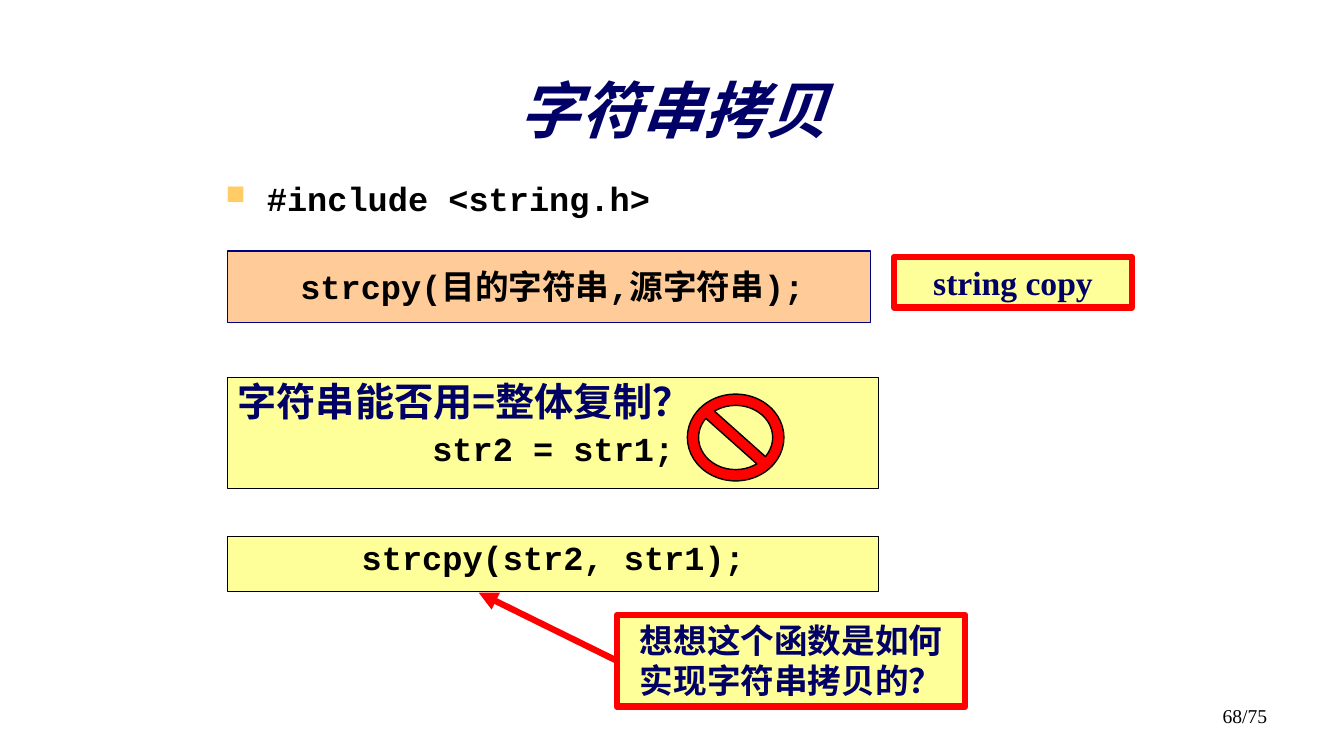
from dataclasses import dataclass
from typing import Any, Optional

import lxml.etree
import pptx
import pptx.dml.color
import pptx.enum.shapes
import pptx.enum.text
import pptx.oxml.ns
import pptx.util

Pt = pptx.util.Pt
qn = pptx.oxml.ns.qn
Align = pptx.enum.text.PP_ALIGN
ShapeType = pptx.enum.shapes.MSO_SHAPE


@dataclass(frozen=True)
class Theme:
    navy: str = "000066"
    black: str = "000000"
    red: str = "FF0000"
    yellow: str = "FFFF99"
    orange: str = "FFCC99"
    border_blue: str = "000080"
    bullet: str = "FFCC66"
    serif: str = "Times New Roman"
    code: str = "Courier New"
    chinese: str = "Noto Sans CJK SC"
    title_size: float = 44
    question_size: float = 28
    body_size: float = 24
    number_size: float = 14
    thin: float = 0.75
    thick: float = 4.5


THEME = Theme()


@dataclass(frozen=True)
class Line:
    text: str
    font: str = THEME.code
    size: float = THEME.body_size
    color: str = THEME.black
    bold: bool = True
    italic: bool = False
    shadow: bool = False
    align: Any = Align.LEFT
    spacing: float = 1.0
    before: float = 0
    margin: float = 0
    indent: float = 0
    bullet: bool = False


@dataclass(frozen=True)
class Box:
    left: float
    top: float
    width: float
    height: float
    lines: tuple[Line, ...]
    fill: Optional[str] = None
    border: str = THEME.black
    border_width: float = THEME.thin
    grow: bool = False
    anchor: Any = pptx.enum.text.MSO_ANCHOR.TOP


def rgb(value: str) -> pptx.dml.color.RGBColor:
    return pptx.dml.color.RGBColor.from_string(value)


def add_element(parent: Any, tag: str, **attributes: str) -> Any:
    return lxml.etree.SubElement(parent, qn(tag), attributes)


def add_bullet(properties: Any) -> None:
    color = add_element(properties, "a:buClr")
    add_element(color, "a:srgbClr", val=THEME.bullet)
    add_element(properties, "a:buSzPct", val="80000")
    add_element(properties, "a:buChar", char="■")


def add_text_shadow(run_properties: Any) -> None:
    effects = lxml.etree.Element(qn("a:effectLst"))
    shadow = add_element(effects, "a:outerShdw", dist=str(Pt(2.5)), dir="2700000")
    add_element(shadow, "a:srgbClr", val=THEME.black)
    run_properties.find(qn("a:solidFill")).addnext(effects)


def write_line(paragraph: Any, line: Line) -> None:
    paragraph.text = line.text
    properties = paragraph._p.get_or_add_pPr()
    properties.set("marL", str(Pt(line.margin)))
    properties.set("indent", str(Pt(line.indent)))
    if line.bullet:
        add_bullet(properties)
    paragraph.alignment = line.align
    paragraph.line_spacing = line.spacing
    paragraph.space_before = Pt(line.before)
    for run in paragraph.runs:
        run.font.size = Pt(line.size)
        run.font.bold = line.bold
        run.font.italic = line.italic
        run.font.color.rgb = rgb(line.color)
        run.font.name = line.font
        run_properties = run._r.get_or_add_rPr()
        add_element(run_properties, "a:ea", typeface=THEME.chinese)
        if line.shadow:
            add_text_shadow(run_properties)


def paint(shape: Any, fill: str, border: str, width: float) -> None:
    shape.shadow.inherit = False
    shape.fill.solid()
    shape.fill.fore_color.rgb = rgb(fill)
    shape.line.color.rgb = rgb(border)
    shape.line.width = Pt(width)


def draw_box(slide: Any, box: Box) -> Any:
    place = [Pt(value) for value in (box.left, box.top, box.width, box.height)]
    if box.fill:
        shape = slide.shapes.add_shape(ShapeType.RECTANGLE, *place)
        paint(shape, box.fill, box.border, box.border_width)
    else:
        shape = slide.shapes.add_textbox(*place)
    frame = shape.text_frame
    frame.word_wrap = True
    frame.vertical_anchor = box.anchor
    if box.grow:
        frame.auto_size = pptx.enum.text.MSO_AUTO_SIZE.SHAPE_TO_FIT_TEXT
    for index, line in enumerate(box.lines):
        write_line(frame.add_paragraph() if index else frame.paragraphs[0], line)
    return shape


def draw_arrow(slide: Any, source: Any, left: float, top: float) -> None:
    arrow = slide.shapes.add_connector(
        pptx.enum.shapes.MSO_CONNECTOR.STRAIGHT, 0, 0, Pt(left), Pt(top))
    arrow.begin_connect(source, 1)
    arrow.line.color.rgb = rgb(THEME.red)
    arrow.line.width = Pt(THEME.thick)
    properties = arrow._element.spPr
    add_element(properties.find(qn("a:ln")), "a:tailEnd", type="triangle")
    add_element(properties, "a:effectLst")


def draw_no_symbol(slide: Any) -> None:
    symbol = slide.shapes.add_shape(
        ShapeType.NO_SYMBOL, Pt(491), Pt(281.5), Pt(69), Pt(62))
    symbol.adjustments[0] = 0.13
    paint(symbol, THEME.red, THEME.black, 1)


HANGING = {"margin": 29.5, "indent": -29.5}
CODE_LEFT = 162.7
CODE_WIDTH = 465
CALLOUT = {"fill": THEME.yellow, "border": THEME.red,
           "border_width": THEME.thick, "grow": True}
CALLOUT_TEXT = {"font": THEME.serif, "color": THEME.navy, "align": Align.CENTER}

BOXES = (
    # Page number
    Box(688.3, 499, 224, 37.5, (
        Line("68/75", THEME.serif, THEME.number_size, bold=False,
             align=Align.RIGHT),)),
    # Title
    Box(71.3, 49, 818.6, 66.2, (
        Line("字符串拷贝", THEME.serif, THEME.title_size, THEME.navy,
             italic=True, shadow=True, align=Align.CENTER, spacing=0.85),),
        anchor=pptx.enum.text.MSO_ANCHOR.MIDDLE),
    # Header file
    Box(154, 122.4, 666, 45.4, (
        Line("#include <string.h>", spacing=1.05, bullet=True, **HANGING),)),
    # Function form
    Box(CODE_LEFT, 179.3, 459.4, 51, (
        Line("strcpy(目的字符串,源字符串);", spacing=1.25,
             margin=67, indent=-22.3),),
        THEME.orange, THEME.border_blue),
    # Meaning of the name
    Box(638.6, 183.6, 170, 36, (Line("string copy", **CALLOUT_TEXT),), **CALLOUT),
    # Question about assignment
    Box(CODE_LEFT, 270, CODE_WIDTH, 79.2, (
        Line("字符串能否用=整体复制？", THEME.chinese, THEME.question_size,
             THEME.navy, spacing=0.9, **HANGING),
        Line("str2 = str1;", align=Align.CENTER, spacing=0.9, before=5,
             **HANGING)),
        THEME.yellow),
    # Correct call
    Box(CODE_LEFT, 383, CODE_WIDTH, 39.6, (
        Line("strcpy(str2, str1);", align=Align.CENTER, spacing=0.9, **HANGING),),
        THEME.yellow),
)

THINK_BOX = Box(440.6, 439.2, 249, 65.5, (
    Line("想想这个函数是如何实现字符串拷贝的？", **CALLOUT_TEXT),), **CALLOUT)


def main() -> None:
    presentation = pptx.Presentation()
    presentation.slide_width = Pt(960)
    presentation.slide_height = Pt(540)
    slide = presentation.slides.add_slide(presentation.slide_layouts[6])
    for box in BOXES:
        draw_box(slide, box)
    # Closing question, pointing at the call
    think_shape = draw_box(slide, THINK_BOX)
    draw_arrow(slide, think_shape, 342, 423.4)
    draw_no_symbol(slide)
    presentation.save("out.pptx")


if __name__ == "__main__":
    main()
